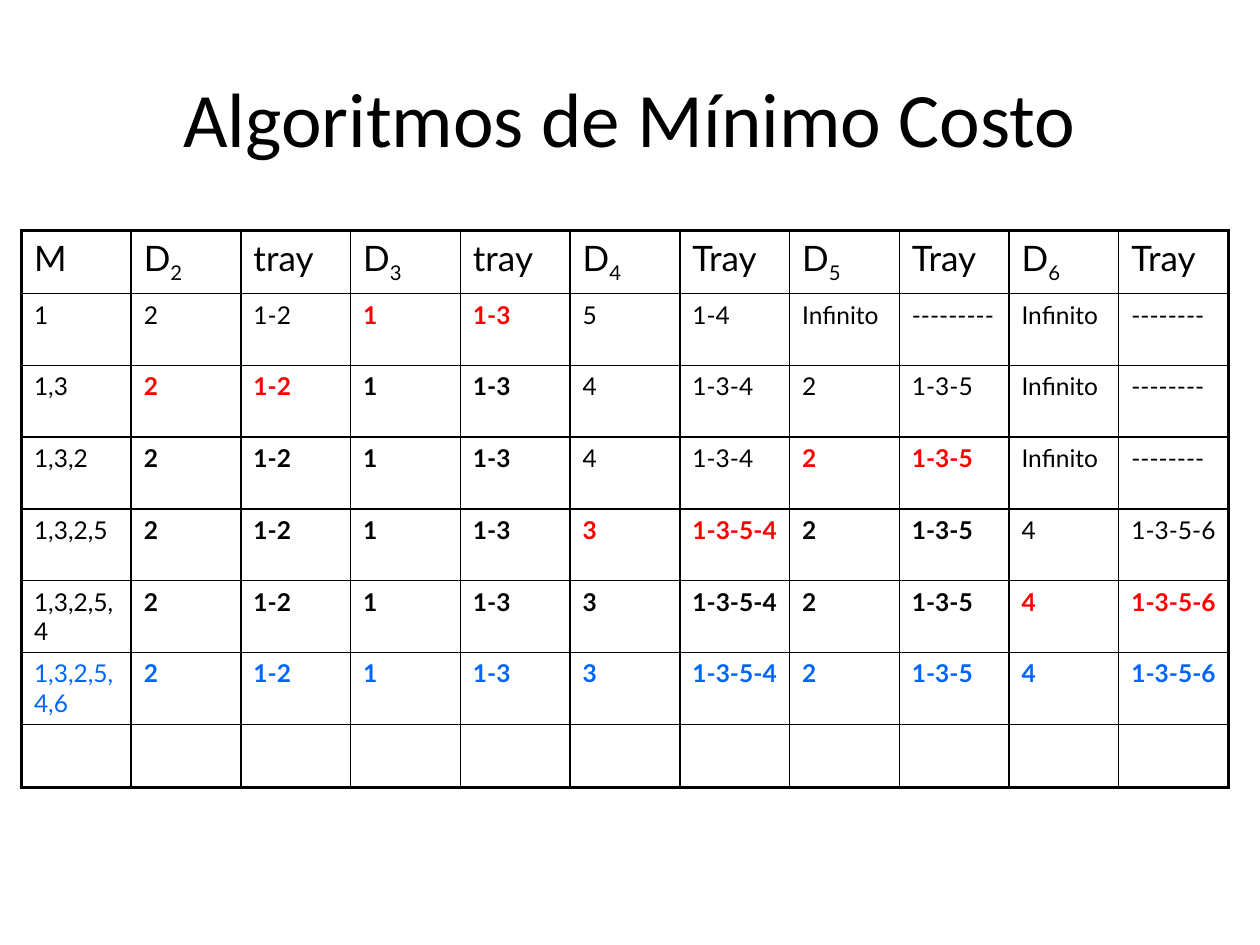
from dataclasses import dataclass

import pptx
import pptx.dml.color
import pptx.enum.text
import pptx.oxml
import pptx.oxml.ns
import pptx.util

Inches = pptx.util.Inches
Pt = pptx.util.Pt
RGBColor = pptx.dml.color.RGBColor

BLACK = RGBColor(0x00, 0x00, 0x00)
RED = RGBColor(0xFF, 0x00, 0x00)
BLUE = RGBColor(0x00, 0x66, 0xFF)

THIN, THICK = Pt(1), Pt(2.25)
NODES = (2, 3, 4, 5, 6)
VISIT_ORDER = (1, 3, 2, 5, 4, 6)
HEADER_TRAY = ("tray", "tray", "Tray", "Tray", "Tray")


@dataclass(frozen=True)
class Style:
    size: float = 14
    color: RGBColor = BLACK
    bold: bool = False
    name: str = "Lato"


@dataclass(frozen=True)
class Step:
    distances: tuple[str, ...]
    routes: tuple[str, ...]


STEPS = (
    Step(("2", "1", "5", "Infinito", "Infinito"), ("1-2", "1-3", "1-4", "---------", "--------")),
    Step(("2", "1", "4", "2", "Infinito"), ("1-2", "1-3", "1-3-4", "1-3-5", "--------")),
    Step(("2", "1", "4", "2", "Infinito"), ("1-2", "1-3", "1-3-4", "1-3-5", "--------")),
    *[Step(("2", "1", "3", "2", "4"), ("1-2", "1-3", "1-3-5-4", "1-3-5", "1-3-5-6"))] * 3,
)
ROW_HEIGHTS = (0.5, *[0.57] * len(STEPS), 0.5)
COLUMNS = 1 + 2 * len(NODES)


def add_run(p, text: str, style: Style, subscript: bool = False) -> None:
    r = p.add_run()
    r.text = text
    formats = {"size": Pt(style.size), "bold": style.bold, "name": style.name}
    for attribute, value in formats.items():
        setattr(r.font, attribute, value)
    r.font.color.rgb = style.color
    if subscript:
        r._r.get_or_add_rPr().set("baseline", "-25000")


def add_title(s, text: str) -> None:
    sp = s.shapes.add_textbox(Inches(0.5), Inches(0.3), Inches(9), Inches(1.25))
    tf = sp.text_frame
    tf.word_wrap = True
    tf.vertical_anchor = pptx.enum.text.MSO_ANCHOR.MIDDLE
    p = tf.paragraphs[0]
    p.alignment = pptx.enum.text.PP_ALIGN.CENTER
    add_run(p, text, Style(size=44, name="Calibri"))


def set_borders(cell, row: int, column: int) -> None:
    outer = {
        "lnL": column == 0,
        "lnR": column == COLUMNS - 1,
        "lnT": row == 0,
        "lnB": row == len(ROW_HEIGHTS) - 1,
    }
    properties = cell._tc.get_or_add_tcPr()
    for tag, is_outer in outer.items():
        properties.append(pptx.oxml.parse_xml(
            f'<a:{tag} {pptx.oxml.ns.nsdecls("a")} w="{THICK if is_outer else THIN}">'
            f'<a:solidFill><a:srgbClr val="{BLACK}"/></a:solidFill></a:{tag}>'
        ))


def add_grid(s):
    frame = s.shapes.add_table(
        len(ROW_HEIGHTS), COLUMNS, Inches(0.17), Inches(1.83), Inches(9.58), Inches(sum(ROW_HEIGHTS))
    )
    table = frame.table
    table.first_row = table.horz_banding = False
    for i, height in enumerate(ROW_HEIGHTS):
        table.rows[i].height = Inches(height)
        for j in range(COLUMNS):
            cell = table.cell(i, j)
            set_borders(cell, i, j)
            cell.fill.background()
    return table


def fill_header(table) -> None:
    style = Style(size=20)
    add_run(table.cell(0, 0).text_frame.paragraphs[0], "M", style)
    for i, (node, tray) in enumerate(zip(NODES, HEADER_TRAY)):
        p = table.cell(0, 2 * i + 1).text_frame.paragraphs[0]
        add_run(p, "D", style)
        add_run(p, str(node), style, subscript=True)
        add_run(table.cell(0, 2 * i + 2).text_frame.paragraphs[0], tray, style)


def fill_step(table, row: int, step: Step) -> None:
    visited = VISIT_ORDER[:row]
    chosen = VISIT_ORDER[row:row + 1]
    base = BLACK if chosen else BLUE
    p = table.cell(row, 0).text_frame.paragraphs[0]
    add_run(p, ",".join(map(str, visited)), Style(color=base))
    for i, node in enumerate(NODES):
        style = Style(color=RED if node in chosen else base, bold=node in visited + chosen)
        for offset, text in enumerate((step.distances[i], step.routes[i]), 1):
            add_run(table.cell(row, 2 * i + offset).text_frame.paragraphs[0], text, style)


def main() -> None:
    """Build the minimum-cost algorithm slide."""
    prs = pptx.Presentation()
    prs.slide_width, prs.slide_height = Inches(10), Inches(7.5)
    s = prs.slides.add_slide(prs.slide_layouts[6])
    add_title(s, "Algoritmos de Mínimo Costo")
    table = add_grid(s)
    fill_header(table)
    for row, step in enumerate(STEPS, 1):
        fill_step(table, row, step)
    prs.save("out.pptx")


if __name__ == "__main__":
    main()
